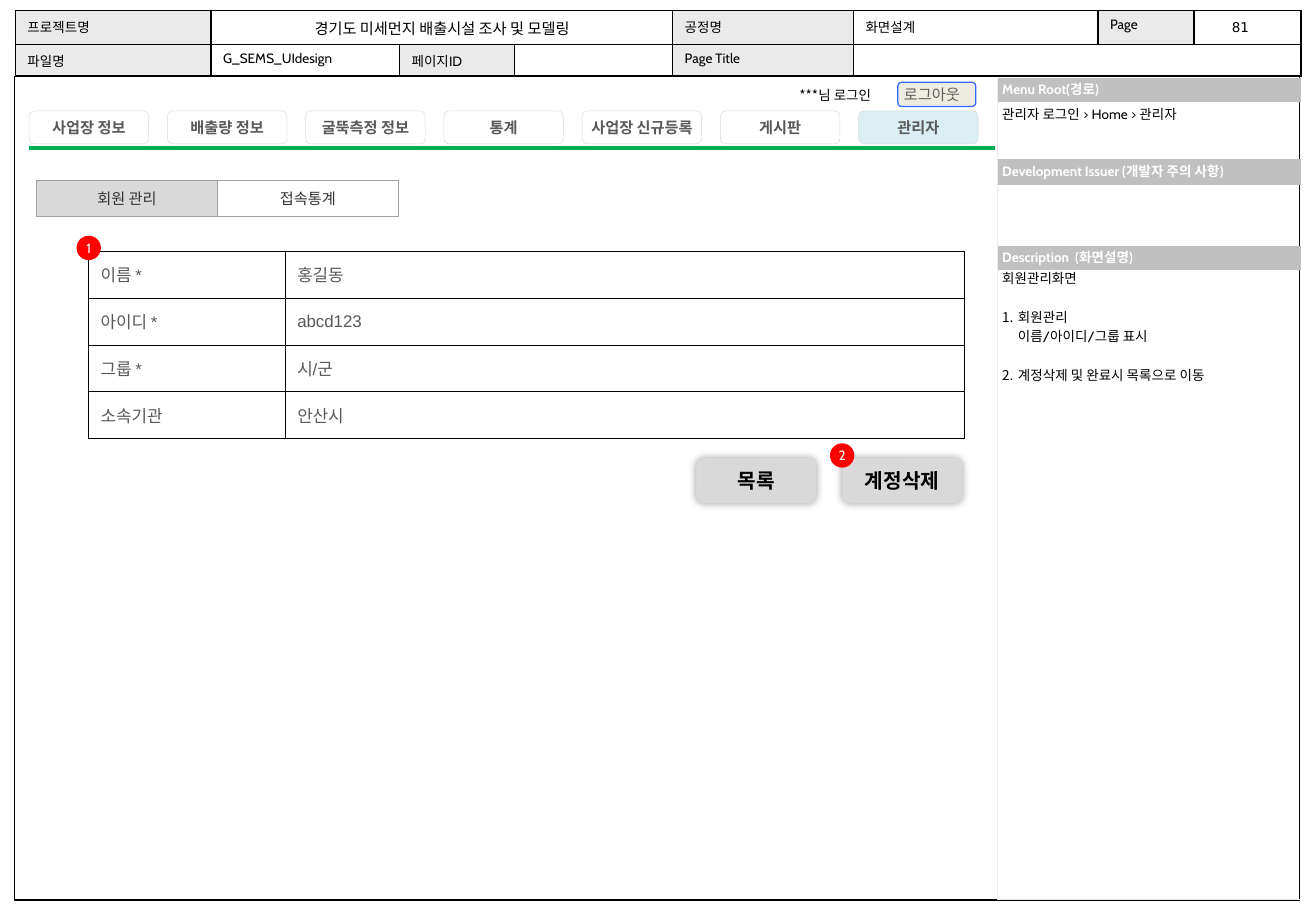
import pptx
import pptx.util
import pptx.dml.color
import pptx.enum.shapes
import pptx.enum.text
import lxml.etree
from pptx.util import Cm, Pt

SHAPE = pptx.enum.shapes.MSO_SHAPE
ALIGN = pptx.enum.text.PP_ALIGN
ANCHOR = pptx.enum.text.MSO_ANCHOR

COLORS = {
    "black": "000000", "white": "FFFFFF", "label": "EAEAEA", "heading": "C0C0C0",
    "cream": "EEECE1", "blue": "3366FF", "green": "00B050", "pale": "DBEEF4",
    "button": "D9D9D9", "edge": "A0A0A0", "text": "595959", "logout": "5F5F5F",
    "tab": "333333", "red": "FF0000",
}

# Header: (row, column, text, columns spanned, is label)
HEADER_COLS = [4.09, 3.94, 2.41, 3.3, 3.78, 5.11, 2.01, 2.24]
HEADER = [
    (0, 0, "프로젝트명", 1, True),
    (0, 1, "경기도 미세먼지 배출시설 조사 및 모델링", 3, False),
    (0, 4, "공정명", 1, True), (0, 5, "화면설계", 1, False),
    (0, 6, "Page", 1, True), (0, 7, "", 1, False),
    (1, 0, "파일명", 1, True), (1, 1, "G_SEMS_UIdesign", 1, False),
    (1, 2, "페이지ID", 1, True), (1, 3, "", 1, False),
    (1, 4, "Page Title", 1, True), (1, 5, "", 3, False),
]
# Side panel: (heading, heading height, height below it)
PANEL = [
    ("Menu Root(경로)", 0.5, 1.2),
    ("Development Issuer (개발자 주의 사항)", 0.53, 1.28),
    ("Description  (화면설명)", 0.5, 13.16),
]
BREADCRUMB = "관리자 로그인 > Home > 관리자"
SCREEN = "회원관리화면"
# Notes: (number or None, text)
NOTES = [(1, "회원관리"), (None, "이름/아이디/그룹 표시"), (2, "계정삭제 및 완료시 목록으로 이동")]
MENU = ["사업장 정보", "배출량 정보", "굴뚝측정 정보", "통계", "사업장 신규등록", "게시판", "관리자"]
TABS = ["회원 관리", "접속통계"]
MEMBER = [("이름 *", "홍길동"), ("아이디 *", "abcd123"), ("그룹 *", "시/군"), ("소속기관", "안산시")]
BUTTONS = ["목록", "계정삭제"]
BADGES = [("1", 1.6, 4.93), ("2", 17.35, 9.27)]

PANEL_LEFT = 20.85
LINE_PITCH = 11.5


def rgb(name):
    return pptx.dml.color.RGBColor.from_string(COLORS[name])


def sub(parent, tag, **attrs):
    return lxml.etree.SubElement(parent, pptx.oxml.ns.qn(tag), attrs)


def set_margins(target, x, y):
    values = {"margin_left": x, "margin_right": x, "margin_top": y, "margin_bottom": y}
    for name, value in values.items():
        setattr(target, name, Cm(value))


def write(p, text, size=8, font="Cabin", color="black", bold=False, **layout):
    for name, value in layout.items():
        setattr(p, name, value)
    if not text:
        sub(p._p, "a:endParaRPr", sz=str(size * 100))
        return
    r = p.add_run()
    r.text = text
    for name, value in {"size": Pt(size), "name": font, "bold": bold}.items():
        setattr(r.font, name, value)
    r.font.color.rgb = rgb(color)


def paint(target, color):
    if color:
        target.fill.solid()
        target.fill.fore_color.rgb = rgb(color)
    else:
        target.fill.background()


def add_shape(s, kind, box, fill=None, line=None, width=0.25, text="", inset=0.1, wrap=True,
              **style):
    sp = s.shapes.add_shape(kind, *map(Cm, box))
    sp.shadow.inherit = False
    paint(sp, fill)
    if line:
        sp.line.color.rgb = rgb(line)
        sp.line.width = Pt(width)
    else:
        sp.line.fill.background()
    if text:
        tf = sp.text_frame
        set_margins(tf, inset, inset)
        tf.vertical_anchor = ANCHOR.MIDDLE
        tf.word_wrap = wrap
        write(tf.paragraphs[0], text, **{"alignment": ALIGN.CENTER, **style})
    return sp


def add_text(s, box, text, inset=(0.1, 0.1), wrap=True, **style):
    tf = s.shapes.add_textbox(*map(Cm, box)).text_frame
    set_margins(tf, *inset)
    tf.word_wrap = wrap
    write(tf.paragraphs[0], text, **style)


def add_table(s, left, top, cols, rows):
    """Add a table without style banding, with no fills."""
    frame = s.shapes.add_table(len(rows), len(cols), Cm(left), Cm(top),
                               Cm(sum(cols)), Cm(sum(rows)))
    table = frame.table
    table.first_row = table.horz_banding = False
    for column, width in zip(table.columns, cols):
        column.width = Cm(width)
    for row, height in zip(table.rows, rows):
        row.height = Cm(height)
    for cell in table.iter_cells():
        paint(cell, None)
    return table


def set_borders(cell, color, width, sides="LRTB"):
    """Draw the given sides and clear the others."""
    tcPr = cell._tc.get_or_add_tcPr()
    for i, side in enumerate("LRTB"):
        ln = sub(tcPr, "a:ln" + side, w=str(Pt(width)))
        if side in sides:
            sub(sub(ln, "a:solidFill"), "a:srgbClr", val=COLORS[color])
        else:
            sub(ln, "a:noFill")
        tcPr.insert(i, ln)


def add_header(s):
    table = add_table(s, 0.32, 0.22, HEADER_COLS, [0.71, 0.66])
    for cell in table.iter_cells():
        set_borders(cell, "black", 1)
    for row, col, text, span, is_label in HEADER:
        cell = table.cell(row, col)
        if span > 1:
            cell.merge(table.cell(row, col + span - 1))
        if is_label:
            paint(cell, "label")
        wide = bool(text) and span > 1
        write(cell.text_frame.paragraphs[0], text, size=9 if wide else 8,
              alignment=ALIGN.CENTER if wide else ALIGN.LEFT)
    add_text(s, (25.65, 0.13, 0.69, 0.64), "81", wrap=False, font="DejaVu Sans", line_spacing=1.5)


def add_panel(s):
    heights = [h for _, *pair in PANEL for h in pair]
    table = add_table(s, PANEL_LEFT, 1.63, [6.35], heights)
    for i, cell in enumerate(table.iter_cells()):
        set_borders(cell, "cream", 0.25, "LB" if i == len(heights) - 1 else "L")
        heading = "" if i % 2 else PANEL[i // 2][0]
        if heading:
            paint(cell, "heading")
            set_margins(cell, 0.1, 0.04)
            cell.vertical_anchor = ANCHOR.MIDDLE
        write(cell.text_frame.paragraphs[0], heading, color="white", bold=True, line_spacing=0.8)
    add_text(s, (PANEL_LEFT, 2.06, 6.3, 0.58), BREADCRUMB, line_spacing=1.2)


def add_description(s):
    title, body = s.shapes.title, s.placeholders[1]
    for sp, top, height in ((title, 5.48, 0.58), (body, 6.29, 2.2)):
        s.shapes._spTree.append(sp._element)  # in front of the panel
        for name, value in zip(("left", "top", "width", "height"), (PANEL_LEFT, top, 6.3, height)):
            setattr(sp, name, Cm(value))
        tf = sp.text_frame
        set_margins(tf, 0.1, 0.1)
        tf.word_wrap = True
        tf.auto_size = pptx.enum.text.MSO_AUTO_SIZE.NONE
        tf.vertical_anchor = ANCHOR.TOP
    write(title.text_frame.paragraphs[0], SCREEN, alignment=ALIGN.LEFT, line_spacing=1.2)
    tf = body.text_frame
    for i, (number, text) in enumerate(NOTES):
        p = tf.add_paragraph() if i else tf.paragraphs[0]
        write(p, text, line_spacing=1.2, space_before=Pt(LINE_PITCH if i and number else 0))
        pPr = p._p.get_or_add_pPr()
        pPr.set("marL", str(Cm(0.33)))
        pPr.set("indent", str(-Cm(0.33) if number else 0))
        if number:
            sub(pPr, "a:buAutoNum", type="arabicPeriod", startAt=str(number))
        else:
            sub(pPr, "a:buNone")


def add_navigation(s):
    add_text(s, (16.46, 1.7, 2.11, 0.61), "***님 로그인", (0.25, 0.13), False,
             font="Noto Sans CJK KR")
    add_shape(s, SHAPE.ROUNDED_RECTANGLE, (18.77, 1.72, 1.63, 0.51), "cream", "blue", 0.75,
              "로그아웃", size=9, font="Karla", color="logout", alignment=ALIGN.LEFT)
    rule = s.shapes.add_connector(pptx.enum.shapes.MSO_CONNECTOR.STRAIGHT,
                                  Cm(0.61), Cm(3.1), Cm(20.8), Cm(3.1))
    rule.line.color.rgb = rgb("green")
    rule.line.width = Pt(2.5)
    sub(rule._element.spPr, "a:effectLst")
    for i, text in enumerate(MENU):
        add_shape(s, SHAPE.ROUNDED_RECTANGLE, (0.61 + i * 2.89, 2.32, 2.5, 0.69),
                  "pale" if text == MENU[-1] else None, "button", text=text, wrap=False,
                  size=9, color="text", bold=True)
    for i, text in enumerate(TABS):
        add_shape(s, SHAPE.RECTANGLE, (0.76 + i * 3.78, 3.77, 3.79, 0.75),
                  "white" if i else "button", "edge", 0.5, text, inset=0,
                  size=9, font="Karla", color="tab")


def add_member_form(s):
    table = add_table(s, 1.85, 5.25, [4.11, 14.2], [0.98] * len(MEMBER))
    for cell, text in zip(table.iter_cells(), (t for row in MEMBER for t in row)):
        set_borders(cell, "black", 0.25)
        cell.vertical_anchor = ANCHOR.MIDDLE
        write(cell.text_frame.paragraphs[0], text, size=10, font="Arial", color="text")
    for i, text in enumerate(BUTTONS):
        sp = add_shape(s, SHAPE.ROUNDED_RECTANGLE, (14.56 + i * 3.05, 9.58, 2.5, 0.94),
                       "button", "button", text=text, size=12, bold=True)
        effects = sp._element.spPr.find(pptx.oxml.ns.qn("a:effectLst"))
        shadow = sub(effects, "a:outerShdw", blurRad=str(Pt(5)), dist="0", dir="0")
        sub(sub(shadow, "a:srgbClr", val=COLORS["black"]), "a:alpha", val="36000")
    for text, left, top in BADGES:
        add_shape(s, SHAPE.OVAL, (left, top, 0.51, 0.51), "red", text=text, wrap=False,
                  color="white")


def main():
    prs = pptx.Presentation()
    prs.slide_width, prs.slide_height = Cm(27.51), Cm(19.05)
    s = prs.slides.add_slide(prs.slide_layouts[1])
    add_shape(s, SHAPE.RECTANGLE, (0.3, 1.6, 26.87, 17.22), line="black", width=0.75)
    add_panel(s)
    add_header(s)
    add_navigation(s)
    add_member_form(s)
    add_description(s)
    prs.save("out.pptx")


if __name__ == "__main__":
    main()
